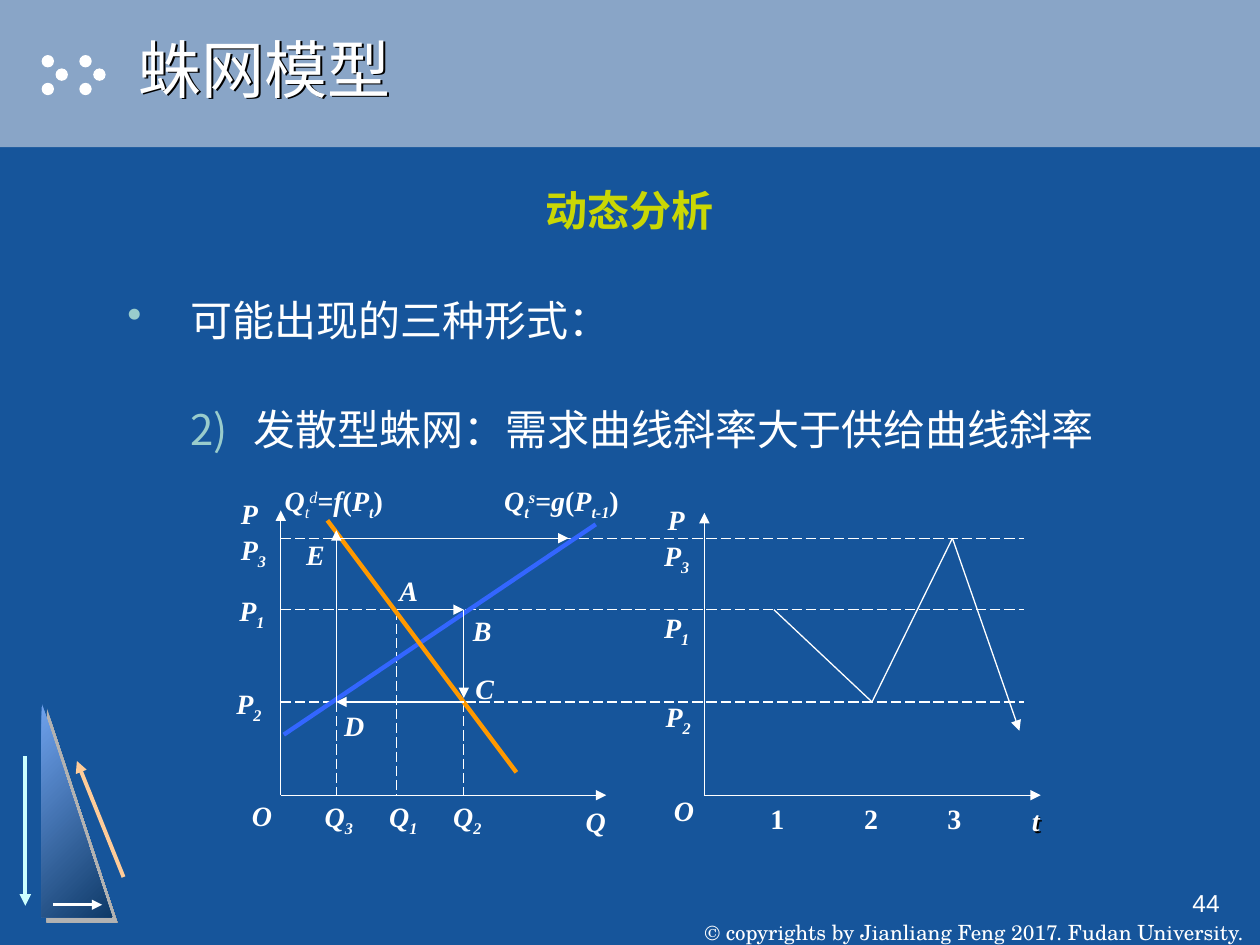
from dataclasses import dataclass

from lxml import etree
from pptx import Presentation
from pptx.dml.color import RGBColor
from pptx.enum.dml import MSO_LINE
from pptx.enum.shapes import MSO_CONNECTOR as CONN, MSO_SHAPE as SHAPE
from pptx.enum.text import MSO_ANCHOR as ANCHOR, PP_ALIGN as ALIGN
from pptx.oxml.ns import qn
from pptx.util import Cm, Pt


@dataclass(frozen=True)
class Theme:
    back: str = "16559B"
    band: str = "89A5C7"
    white: str = "FFFFFF"
    black: str = "000000"
    accent: str = "CAD704"
    bullet: str = "99CCCC"
    supply: str = "3366FF"
    demand: str = "FF9900"
    down: str = "CCFFFF"
    up: str = "FFCC99"
    grad: tuple = ("6FA2ED", "0F3A68")
    shade: str = "B2B2B2"
    sans: str = "Arial"
    serif: str = "Times New Roman"
    credit: str = "TeX Gyre Schola"
    title_size: int = 36
    body_size: int = 24
    label_size: int = 16
    page_size: int = 14
    credit_size: int = 12


T = Theme()
RGB = RGBColor.from_string
SUB, SUP = -25000, 30000


def add_shadow(sp, color, dist):
    """Cast a sharp shadow to the lower right; an unfilled box casts it from its text."""
    sp_pr = sp._element.spPr
    for old in sp_pr.findall(qn("a:effectLst")):
        sp_pr.remove(old)
    effects = etree.SubElement(sp_pr, qn("a:effectLst"))
    shadow = etree.SubElement(effects, qn("a:outerShdw"),
                              dist=str(Pt(dist)), dir="2700000", algn="tl", rotWithShape="0")
    etree.SubElement(shadow, qn("a:srgbClr"), val=color)


class Painter:
    def __init__(self, slide, theme):
        self.s, self.t = slide, theme

    def shape(self, kind, x, y, w, h, color=None):
        sp = self.s.shapes.add_shape(kind, Cm(x), Cm(y), Cm(w), Cm(h))
        sp.shadow.inherit = False
        sp.line.fill.background()
        if color:
            sp.fill.solid()
            sp.fill.fore_color.rgb = RGB(color)
        return sp

    def line(self, x1, y1, x2, y2, color=None, width=0.75, dash=False, arrow=False):
        c = self.s.shapes.add_connector(CONN.STRAIGHT, Cm(x1), Cm(y1), Cm(x2), Cm(y2))
        c.line.color.rgb = RGB(color or self.t.white)
        c.line.width = Pt(width)
        if dash:
            c.line.dash_style = MSO_LINE.LONG_DASH
        if arrow:
            etree.SubElement(c.line._get_or_add_ln(), qn("a:tailEnd"), type="triangle")
        etree.SubElement(c._element.spPr, qn("a:effectLst"))

    def box(self, x, y, w, h, shadow=False, **frame):
        sp = self.s.shapes.add_textbox(Cm(x), Cm(y), Cm(w), Cm(h))
        if shadow:
            add_shadow(sp, self.t.black, 1.5)
        tf = sp.text_frame
        for name, value in {"word_wrap": True, **frame}.items():
            setattr(tf, name, value)
        return tf

    def run(self, p, text, font, size, color=None, base=0, **style):
        r = p.add_run()
        r.text = text
        for name, value in {"name": font, "size": Pt(size), **style}.items():
            setattr(r.font, name, value)
        r.font.color.rgb = RGB(color or self.t.white)
        if base:
            r.font._element.set("baseline", str(base))

    def bullet(self, p, left, tag, **attrs):
        """Hang a coloured bullet or number 1.27 cm before the text."""
        pPr = p._p.get_or_add_pPr()
        pPr.set("marL", str(Cm(left)))
        pPr.set("indent", str(-Cm(1.27)))
        color = etree.SubElement(pPr, qn("a:buClr"))
        etree.SubElement(color, qn("a:srgbClr"), val=self.t.bullet)
        etree.SubElement(pPr, qn(tag), **attrs)

    def label(self, cx, y, *parts, w=1.2, shadow=False):
        """Centre a formula on cx; a part is text or (text, run format)."""
        tf = self.box(cx - w / 2, y, w, 0.95, shadow, word_wrap=False)
        p = tf.paragraphs[0]
        p.alignment = ALIGN.CENTER
        for part in parts:
            text, style = (part, {}) if isinstance(part, str) else part
            style = {"bold": True, "italic": text[0].isalpha(), **style}
            self.run(p, text, self.t.serif, self.t.label_size, **style)


def draw_frame(d):
    d.shape(SHAPE.RECTANGLE, 0, 0, 25.4, 2.97, T.band)
    for left in (0.84, 1.6):
        for dx, y in ((0, 1.11), (0.28, 1.38), (0, 1.67)):
            d.shape(SHAPE.OVAL, left + dx, y, 0.25, 0.25, T.white)
    tri = d.shape(SHAPE.RIGHT_TRIANGLE, 0.84, 14.17, 1.42, 4.32)
    tri.fill.gradient()
    tri.fill.gradient_angle = 315
    for stop, color in zip(tri.fill.gradient_stops, T.grad):
        stop.color.rgb = RGB(color)
    add_shadow(tri, T.shade, 4.2)
    d.line(0.51, 15.24, 0.51, 18.26, T.down, 2.25, arrow=True)
    d.line(2.49, 17.68, 1.55, 15.34, T.up, 2.25, arrow=True)
    d.line(1.07, 18.24, 2.06, 18.24, width=1.5, arrow=True)

    tf = d.box(13.83, 17.78, 11.63, 1.27, word_wrap=False, margin_top=0,
               margin_bottom=0, vertical_anchor=ANCHOR.BOTTOM)
    tf.paragraphs[0].alignment = ALIGN.CENTER
    d.run(tf.paragraphs[0], "© copyrights by Jianliang Feng 2017. Fudan University.",
          T.credit, T.credit_size)
    tf = d.box(19.56, 17.78, 5.28, 1.27)
    tf.paragraphs[0].alignment = ALIGN.RIGHT
    d.run(tf.paragraphs[0], "44", T.sans, T.page_size)


def draw_text(d):
    tf = d.box(2.54, 0, 22.86, 2.74, shadow=True, vertical_anchor=ANCHOR.MIDDLE)
    d.run(tf.paragraphs[0], "蛛网模型", T.sans, T.title_size)

    tf = d.box(2.32, 3.4, 20.75, 6.15)
    head, intro, item = tf.paragraphs[0], tf.add_paragraph(), tf.add_paragraph()
    d.bullet(intro, 1.27, "a:buChar", char="•")
    d.bullet(item, 2.54, "a:buAutoNum", type="arabicParenR", startAt="2")
    item.level = 1
    formats = (
        (head, {"alignment": ALIGN.CENTER, "line_spacing": 1.2}),
        (intro, {"line_spacing": 1.7, "space_before": Pt(13.5)}),
        (item, {"alignment": ALIGN.JUSTIFY, "line_spacing": 1.7, "space_before": Pt(13.5)}),
    )
    for p, values in formats:
        for name, value in values.items():
            setattr(p, name, value)
    d.run(head, "动态分析", T.sans, T.body_size, T.accent, bold=True)
    d.run(intro, "可能出现的三种形式：", T.sans, T.body_size)
    d.run(item, "发散型蛛网：需求曲线斜率大于供给曲线斜率", T.sans, T.body_size)


def draw_charts(d):
    p3, p1, p2, base = 10.85, 12.29, 14.15, 16.03
    axis, q3, q1, q2, right = 5.66, 6.78, 8.0, 9.35, 20.65
    time_axis, t1, t2, t3 = 14.2, 15.6, 17.58, 19.2

    for x, end, top in ((axis, 12.22, 10.29), (time_axis, 20.98, 10.34)):
        d.line(x, base, x, top, arrow=True)
        d.line(x, base, end, base, arrow=True)
    for x, y in ((q3, p2), (q1, p1), (q2, p2)):
        d.line(x, y, x, base, dash=True)
    for y in (p3, p1, p2):
        d.line(axis, y, right, y, dash=True)
    d.line(12.01, 10.57, 5.72, 14.81, T.supply, 2.5)
    d.line(10.41, 15.57, 6.6, 10.49, T.demand, 2.5)

    web = [(q1, p1, q2, p1), (q2, p1, q2, 14.07), (q2, p2, q3, p2),
           (q3, p2, q3, 10.69), (q3, p3, 11.46, p3)]
    for step in web:
        d.line(*step, arrow=True)
    d.line(t1, p1, t2, p2)
    d.line(t2, p2, t3, p3)
    d.line(t3, p3, 20.55, 14.73, arrow=True)

    plain = [(5.28, 15.98, "O"), (12.01, 16.1, "Q"), (5.03, 9.88, "P"),
             (8.24, 11.43, "A"), (9.72, 12.24, "B"), (9.77, 13.41, "C"),
             (7.14, 14.15, "D"), (6.36, 10.72, "E"), (13.63, 10.01, "P"),
             (13.79, 15.88, "O"), (15.67, base, "1"), (17.56, base, "2"), (19.24, base, "3")]
    for x, y, text in plain:
        d.label(x, y, text)
    d.label(20.88, 16.08, "t", shadow=True)
    indexed = [(5.08, 11.84, "P", "1"), (5.11, 10.62, "P", "3"), (5.02, 13.72, "P", "2"),
               (13.64, 12.19, "P", "1"), (13.64, 10.74, "P", "3"), (13.67, 13.97, "P", "2"),
               (8.13, 16, "Q", "1"), (6.83, 16, "Q", "3"), (9.42, 16, "Q", "2")]
    for x, y, text, index in indexed:
        d.label(x, y, text, (index, {"base": SUB, "italic": True}))
    for x, sup, func, lag, bold in ((6.73, "d", "f", "t", False), (11.32, "s", "g", "t-1", True)):
        d.label(x, 9.63, "Q", ("t", {"base": SUB, "bold": bold}),
                (sup, {"base": SUP, "bold": bold}), "=", func, "(", "P",
                (lag, {"base": SUB}), ")", w=3.6)


def main():
    prs = Presentation()
    prs.slide_width, prs.slide_height = Cm(25.4), Cm(19.05)
    s = prs.slides.add_slide(prs.slide_layouts[6])
    s.background.fill.solid()
    s.background.fill.fore_color.rgb = RGB(T.back)
    d = Painter(s, T)
    draw_frame(d)
    draw_text(d)
    draw_charts(d)
    prs.save("out.pptx")


if __name__ == "__main__":
    main()
